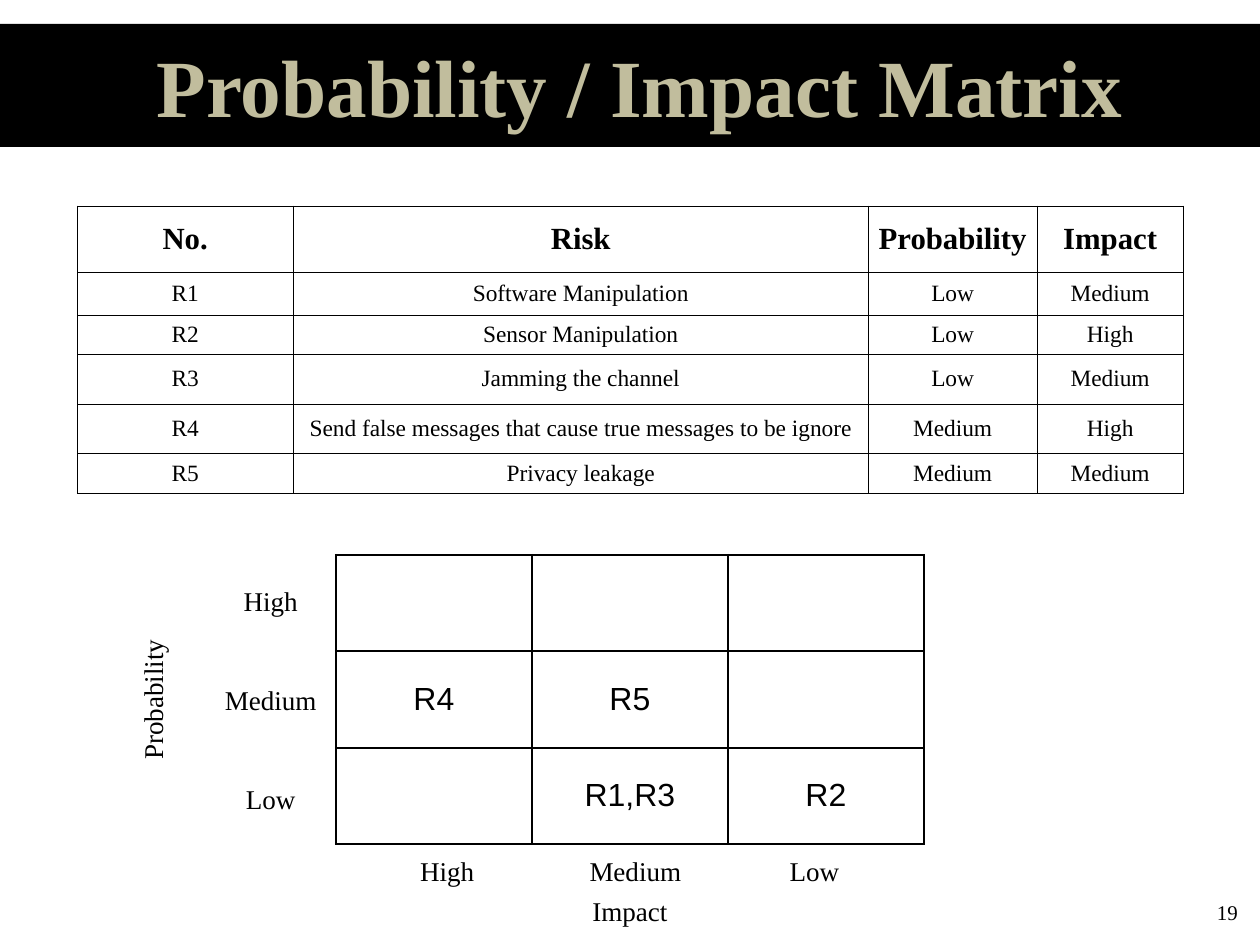
"""Build the probability and impact matrix slide."""
from dataclasses import dataclass
from typing import Any

from lxml import etree
from pptx import Presentation
from pptx import util as u
from pptx.dml import color
from pptx.enum import shapes, text
from pptx.oxml import ns

SERIF = "Times New Roman"
BLACK = "000000"


@dataclass
class Grid:
    left: float
    top: float
    cols: list[float]
    rows: list[float]
    cells: list[list[str]]
    line: float
    face: str
    head: float
    size: float
    bold: bool


@dataclass
class Label:
    box: tuple[float, float, float, float]
    lines: list[str]
    gap: float = 0
    size: float = 22
    turn: float = 0
    tabs: tuple[float, ...] = ()


GRIDS = [
    Grid(62.7, 167.3, [175.5, 467.5, 137, 119], [53.6, 34.9, 31.7, 40.6, 39.8, 33.3], [
        ["No.", "Risk", "Probability", "Impact"],
        ["R1", "Software Manipulation", "Low", "Medium"],
        ["R2", "Sensor Manipulation", "Low", "High"],
        ["R3", "Jamming the channel", "Low", "Medium"],
        ["R4", "Send false messages that cause true messages to be ignore", "Medium", "High"],
        ["R5", "Privacy leakage", "Medium", "Medium"],
    ], 0.25, SERIF, 25, 19, True),
    Grid(273, 451, [159.3] * 3, [78.3] * 3, [
        ["", "", ""],
        ["R4", "R5", ""],
        ["", "R1,R3", "R2"],
    ], 2, "Arial", 26, 26, False),
]

LABELS = [
    Label((176.4, 475.2, 87.1, 187.2), ["High", "Medium", "Low"], gap=54),
    Label((311.8, 691.9, 400.3, 63.4), ["\tHigh\tMedium\tLow", "Impact"], gap=6.4,
          tabs=(48.5, 201.5, 347)),
    Label((71.3, 553, 105.1, 31), ["Probability"], turn=270),
    Label((985.5, 728.6, 24, 25.2), ["19"], size=17),
]


def rgb(code: str) -> color.RGBColor:
    return color.RGBColor.from_string(code)


def style(para: Any, face: str, size: float, bold: bool = False, code: str = BLACK) -> None:
    para.alignment = para.alignment or text.PP_ALIGN.CENTER
    font = para.font
    font.name, font.size, font.bold = face, u.Pt(size), bold
    font.color.rgb = rgb(code)


def inset(frame: Any, pad: float) -> None:
    frame.margin_left = frame.margin_right = u.Pt(pad)
    frame.margin_top = frame.margin_bottom = u.Pt(pad)
    frame.vertical_anchor = text.MSO_ANCHOR.MIDDLE


def border(cell: Any, width: float) -> None:
    props = cell._tc.get_or_add_tcPr()
    for side in ("a:lnL", "a:lnR", "a:lnT", "a:lnB"):
        line = etree.SubElement(props, ns.qn(side), w=str(u.Pt(width)))
        fill = etree.SubElement(line, ns.qn("a:solidFill"))
        etree.SubElement(fill, ns.qn("a:srgbClr"), val=BLACK)


def add_grid(slide: Any, grid: Grid) -> None:
    frame = slide.shapes.add_table(
        len(grid.rows), len(grid.cols), u.Pt(grid.left), u.Pt(grid.top),
        u.Pt(sum(grid.cols)), u.Pt(sum(grid.rows)))
    table = frame.table
    table.first_row = table.horz_banding = False
    for col, width in zip(table.columns, grid.cols):
        col.width = u.Pt(width)
    for i, (row, height) in enumerate(zip(table.rows, grid.rows)):
        row.height = u.Pt(height)
        for cell, words in zip(row.cells, grid.cells[i]):
            inset(cell, 4.5)
            border(cell, grid.line)
            cell.fill.background()
            if words:
                cell.text = words
                style(cell.text_frame.paragraphs[0], grid.face,
                      grid.size if i else grid.head, grid.bold and i == 0)


def add_tabs(para: Any, stops: tuple[float, ...]) -> None:
    para.alignment = text.PP_ALIGN.LEFT
    tabs = etree.SubElement(para._p.get_or_add_pPr(), ns.qn("a:tabLst"))
    for stop in stops:
        etree.SubElement(tabs, ns.qn("a:tab"), pos=str(u.Pt(stop)), algn="ctr")


def add_label(slide: Any, label: Label) -> None:
    box = slide.shapes.add_textbox(*map(u.Pt, label.box))
    box.rotation = label.turn
    frame = box.text_frame
    frame.word_wrap = bool(label.tabs)
    inset(frame, 3)
    for i, words in enumerate(label.lines):
        para = frame.add_paragraph() if i else frame.paragraphs[0]
        para.text = words
        if i:
            para.space_before = u.Pt(label.gap)
        elif label.tabs:
            add_tabs(para, label.tabs)
        style(para, SERIF, label.size)


def add_title(slide: Any) -> None:
    band = slide.shapes.add_shape(
        shapes.MSO_SHAPE.RECTANGLE, 0, u.Pt(19.4), u.Pt(1024), u.Pt(100))
    band.shadow.inherit = False
    band.fill.solid()
    band.fill.fore_color.rgb = rgb(BLACK)
    band.line.fill.background()
    title = slide.shapes.title
    title.element.addprevious(band.element)
    title.left, title.top, title.width, title.height = map(u.Pt, (122.4, 0, 794.9, 137.5))
    title.text = "Probability / Impact Matrix"
    frame = title.text_frame
    frame.word_wrap = True
    frame.auto_size = text.MSO_AUTO_SIZE.NONE
    inset(frame, 3)
    style(frame.paragraphs[0], SERIF, 66, True, "C1BD9D")


def main() -> None:
    deck = Presentation()
    deck.slide_width, deck.slide_height = u.Pt(1024), u.Pt(768)
    slide = deck.slides.add_slide(deck.slide_layouts[5])
    add_title(slide)
    for grid in GRIDS:
        add_grid(slide, grid)
    for label in LABELS:
        add_label(slide, label)
    deck.save("out.pptx")


if __name__ == "__main__":
    main()
